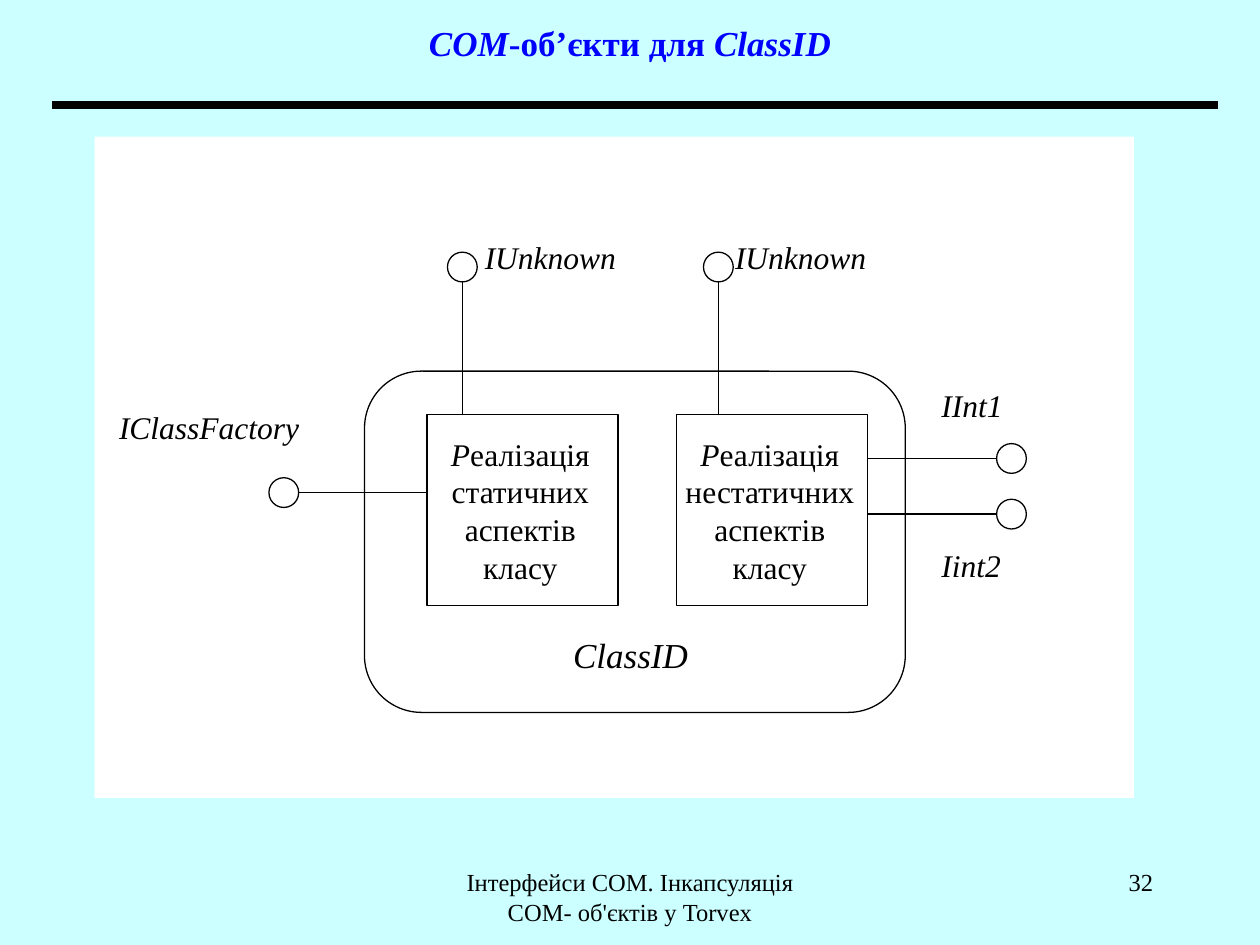
from lxml import etree
from pptx import Presentation
from pptx import util as u
from pptx.dml.color import RGBColor
from pptx.enum import shapes, text
from pptx.oxml import ns

Pt = u.Pt
SKY = RGBColor(0xCC, 0xFF, 0xFF)
WHITE = RGBColor(0xFF, 0xFF, 0xFF)
BLACK = RGBColor(0, 0, 0)
BLUE = RGBColor(0, 0, 0xFF)
FORM = shapes.MSO_SHAPE
LEFT, MID, RIGHT = text.PP_ALIGN.LEFT, text.PP_ALIGN.CENTER, text.PP_ALIGN.RIGHT

# Runs are (wording, italic)
TITLE = [("COM", True), ("-об’єкти для ", False), ("ClassID", True)]
FOOTER = [("Інтерфейси COM. Інкапсуляція COM- об'єктів у Torvex", False)]
NUMBER = [("32", False)]
PANEL = (54, 78, 594, 378)
CLASS = (208.3, 212.1, 309, 195)
TOP, SIDE = 236.7, 109.2
PARTS = [
    (244, [("Р", True), ("еалізація статичних аспектів класу", False)]),
    (386.6, [("Р", True), ("еалізація нестатичних аспектів класу", False)]),
]
# Wording, left, top, size
LABELS = [
    ("IClassFactory", 68, 233.3, 18),
    ("IUnknown", 277, 136, 18),
    ("IUnknown", 420, 136, 18),
    ("IInt1", 538, 220.3, 18),
    ("Iint2", 538, 311.8, 18),
    ("ClassID", 327.5, 362, 20),
]
# Pin centre, then the point on the part it leads to
RING = 17
PINS = [
    ((162.2, 281.5), (PARTS[0][0], 281.5)),
    ((264.2, 152.6), (264.2, TOP)),
    ((410.5, 152.6), (410.5, TOP)),
    ((578, 262), (PARTS[1][0] + SIDE, 262)),
    ((578, 293.8), (PARTS[1][0] + SIDE, 293.8)),
]


def write(shape, runs, size=18, align=LEFT, pad=(7.2, 3.6, 7.2, 3.6),
          anchor=text.MSO_ANCHOR.TOP, color=BLACK, bold=False):
    frame = shape.text_frame
    left, top, right, low = map(Pt, pad)
    form = {"word_wrap": True, "vertical_anchor": anchor, "margin_left": left,
            "margin_top": top, "margin_right": right, "margin_bottom": low}
    for key, value in form.items():
        setattr(frame, key, value)
    par = frame.paragraphs[0]
    par.alignment = align
    for words, slant in runs:
        run = par.add_run()
        run.text = words
        look = {"name": "Times New Roman", "size": Pt(size), "bold": bold, "italic": slant}
        for key, value in look.items():
            setattr(run.font, key, value)
        run.font.color.rgb = color


def add_text(slide, place, runs, **form):
    write(slide.shapes.add_textbox(*map(Pt, place)), runs, **form)


def add_form(slide, kind, place, edge=0.75):
    shape = slide.shapes.add_shape(kind, *map(Pt, place))
    shape.shadow.inherit = False
    shape.fill.solid()
    shape.fill.fore_color.rgb = WHITE
    if edge:
        shape.line.color.rgb = BLACK
        shape.line.width = Pt(edge)
    else:
        shape.line.fill.background()
    return shape


def add_line(slide, start, end, width=0.75):
    line = slide.shapes.add_connector(
        shapes.MSO_CONNECTOR.STRAIGHT, *map(Pt, start + end))
    line.line.color.rgb = BLACK
    line.line.width = Pt(width)
    etree.SubElement(line.element.spPr, ns.qn("a:effectLst"))


def add_pin(slide, centre, end):
    """Draw an interface as a line with a ring at its free end."""
    half = RING / 2
    start = tuple(c + half * ((e > c) - (e < c)) for c, e in zip(centre, end))
    add_line(slide, start, end)
    x, y = centre
    add_form(slide, FORM.OVAL, (x - half, y - half, RING, RING))


def main():
    deck = Presentation()
    deck.slide_width, deck.slide_height = Pt(720), Pt(540)
    slide = deck.slides.add_slide(deck.slide_layouts[6])
    slide.background.fill.solid()
    slide.background.fill.fore_color.rgb = SKY

    add_text(slide, (54, 0, 612, 48), TITLE, size=20, align=MID,
             anchor=text.MSO_ANCHOR.MIDDLE, color=BLUE, bold=True)
    add_line(slide, (30, 60), (696, 60), 4.5)
    add_form(slide, FORM.RECTANGLE, PANEL, edge=0)
    add_form(slide, FORM.ROUNDED_RECTANGLE, CLASS)
    for left, runs in PARTS:
        part = add_form(slide, FORM.RECTANGLE, (left, TOP, SIDE, SIDE))
        write(part, runs, align=MID, pad=(1.5, 11.7, 4, 0))
    for centre, end in PINS:
        add_pin(slide, centre, end)
    for words, left, top, size in LABELS:
        add_text(slide, (left, top, 110, 24), [(words, True)],
                 size=size, pad=(0, 0, 0, 0))
    add_text(slide, (246, 492, 228, 36), FOOTER, size=14, align=MID)
    add_text(slide, (516, 492, 150, 36), NUMBER, size=14, align=RIGHT)
    deck.save("out.pptx")


if __name__ == "__main__":
    main()
